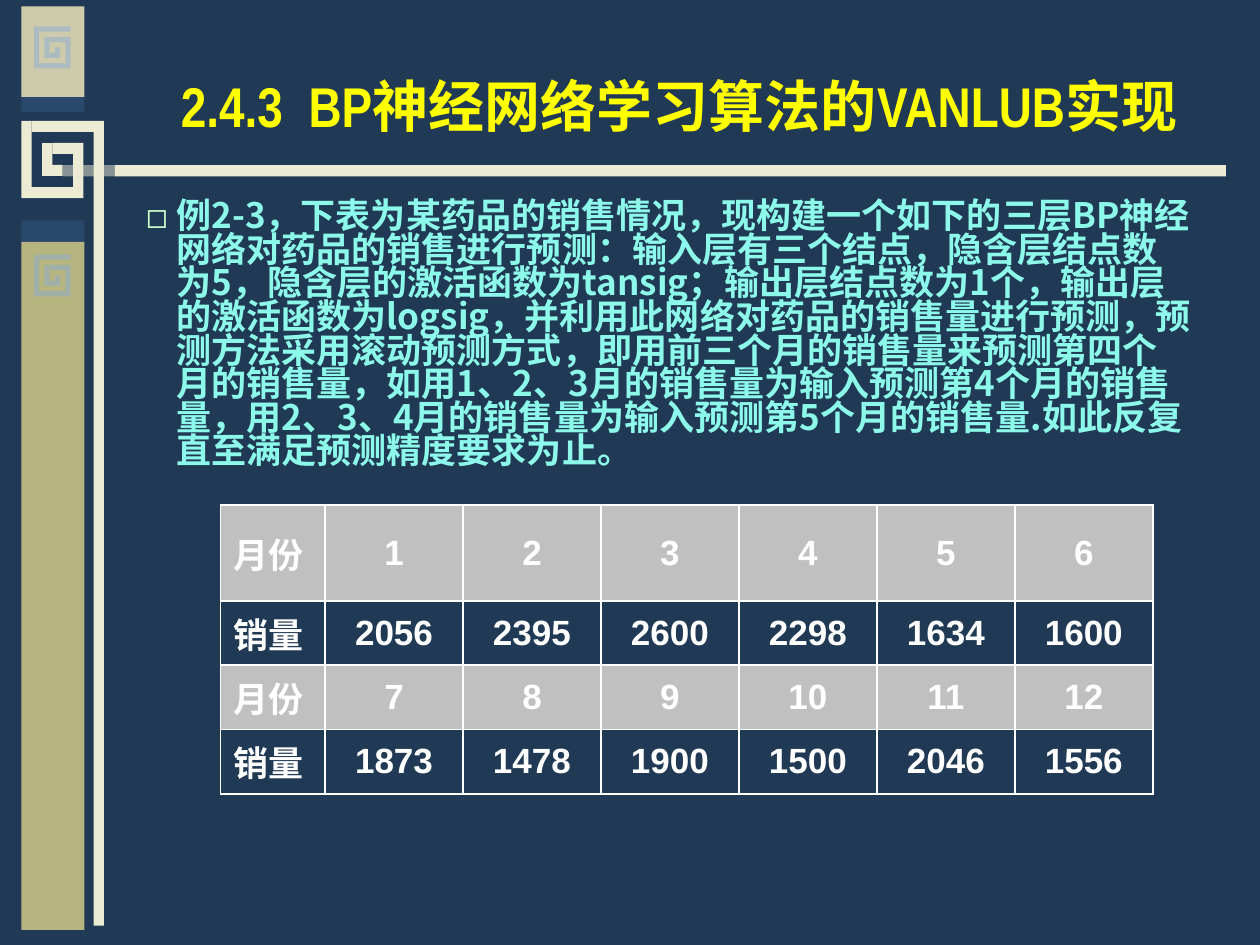
from lxml import etree
from pptx import Presentation, util as u
from pptx.dml.color import RGBColor
from pptx.enum import shapes, text
from pptx.oxml import ns

C = dict(bg="203954", navy="29486B", sand="CDCBAB", cream="ECEBD3", olive="B6B57F",
         sky="8BADD3", title="FFFF00", body="8DF9EA", bullet="CCFFCC",
         head="C0C0C0", white="FFFFFF")
CJK = "Noto Sans CJK SC"

# Spiral bars as column, row, width, height in grid units
BIG_KEY = [(2, 2, 1, 2), (2, 4, 2, 1), (3, 2, 3, 1), (0, 6, 5, 1), (0, 0, 1, 6),
           (1, 0, 7, 1), (7, 1, 1, 72), (5, 3, 1, 4)]
SMALL_KEY = [(2, 5, 2, 1), (4, 4, 1, 2), (2, 2, 1, 3), (3, 2, 4, 1), (6, 3, 1, 5),
             (0, 7, 6, 1), (0, 0, 1, 7), (1, 0, 6, 1)]

TITLE = "2.4.3  BP神经网络学习算法的VANLUB实现"
BODY = ("例2-3，下表为某药品的销售情况，现构建一个如下的三层BP神经网络对药品的销售进行预测："
        "输入层有三个结点，隐含层结点数为5，隐含层的激活函数为tansig；输出层结点数为1个，"
        "输出层的激活函数为logsig，并利用此网络对药品的销售量进行预测，预测方法采用滚动预测方式，"
        "即用前三个月的销售量来预测第四个月的销售量，如用1、2、3月的销售量为输入预测第4个月的销售量，"
        "用2、3、4月的销售量为输入预测第5个月的销售量.如此反复直至满足预测精度要求为止。")
SALES = [2056, 2395, 2600, 2298, 1634, 1600, 1873, 1478, 1900, 1500, 2046, 1556]


def rgb(name):
    return RGBColor.from_string(C[name])


def add(parent, tag, **attrs):
    return etree.SubElement(parent, ns.qn(tag), attrs)


def bar(s, box, color, alpha=None):
    sp = s.shapes.add_shape(shapes.MSO_SHAPE.RECTANGLE, *map(u.Inches, box))
    sp.shadow.inherit = False
    sp.line.fill.background()
    sp.fill.solid()
    sp.fill.fore_color.rgb = rgb(color)
    if alpha:
        clr = sp.fill._xPr.find(".//" + ns.qn("a:srgbClr"))
        add(clr, "a:alpha", val=str(alpha * 1000))


def key(s, x, y, unit_w, unit_h, parts, color, alpha=None):
    for col, row, w, h in parts:
        bar(s, (x + col * unit_w, y + row * unit_h, w * unit_w, h * unit_h), color, alpha)


def style(p, size, font, color):
    for r in p.runs:
        r.font.size, r.font.bold, r.font.name = u.Pt(size), True, font
        r.font.color.rgb = rgb(color)
        add(r._r.get_or_add_rPr(), "a:ea", typeface=CJK)


def decoration(s, x, y, w):
    """Left column, Greek keys and the rule under the title."""
    for dy, h, color in [(0.72, 0.12, "navy"), (0, 0.72, "sand"),
                         (1.7, 0.17, "navy"), (1.87, 5.46, "olive")]:
        bar(s, (x, y + dy, w, h), color)
    key(s, x, y + 0.91, 0.082, 0.0875, BIG_KEY, "cream")
    bar(s, (x + 0.33, y + 1.26, 0.41, 0.09), "cream", 50)
    bar(s, (x + 0.74, y + 1.26, 8.82, 0.09), "cream")
    for dy in (0.16, 1.97):
        key(s, x + 0.1, y + dy, 1 / 24, 1 / 24, SMALL_KEY, "sky", 50)


def fill_placeholder(sp, box, words, anchor):
    sp.left, sp.top, sp.width, sp.height = map(u.Inches, box)
    tf = sp.text_frame
    tf.text = words
    tf.word_wrap, tf.auto_size, tf.vertical_anchor = True, text.MSO_AUTO_SIZE.NONE, anchor
    return tf.paragraphs[0]


def title(s, box):
    p = fill_placeholder(s.shapes.title, box, TITLE, text.MSO_ANCHOR.BOTTOM)
    p.alignment = text.PP_ALIGN.CENTER
    style(p, 32, "Arial Narrow", "title")


def body(s, box):
    p = fill_placeholder(s.placeholders[1], box, BODY, text.MSO_ANCHOR.TOP)
    p.line_spacing, p.space_before = 0.8, u.Pt(5)
    style(p, 20, CJK, "body")
    pPr = p._p.get_or_add_pPr()
    pPr.set("marL", str(u.Inches(0.24)))
    pPr.set("indent", str(-u.Inches(0.24)))
    add(add(pPr, "a:buClr"), "a:srgbClr", val=C["bullet"])
    add(pPr, "a:buFont", typeface=CJK)
    add(pPr, "a:buChar", char="◻")


def cell_format(cell, shaded, centred):
    cell.vertical_anchor = text.MSO_ANCHOR.MIDDLE
    p = cell.text_frame.paragraphs[0]
    p.alignment = text.PP_ALIGN.CENTER if centred else text.PP_ALIGN.LEFT
    style(p, 20, "Arial", "white")
    tcPr = cell._tc.get_or_add_tcPr()
    for side in "LRTB":
        ln = add(tcPr, "a:ln" + side, w=str(u.Pt(1.08)))
        add(add(ln, "a:solidFill"), "a:srgbClr", val=C["white"])
    if shaded:
        cell.fill.solid()
        cell.fill.fore_color.rgb = rgb("head")
    else:
        cell.fill.background()


def sales_table(s, box):
    """Two half-years, each a row of months above a row of sales."""
    rows = []
    for start in (0, 6):
        rows += [["月份", *range(start + 1, start + 7)], ["销量", *SALES[start:start + 6]]]
    tbl = s.shapes.add_table(4, 7, *map(u.Inches, box)).table
    tbl.first_row = tbl.horz_banding = False
    for i, col in enumerate(tbl.columns):
        col.width = u.Inches(1.095 if i else 0.83)
    for i, row in enumerate(tbl.rows):
        row.height = u.Inches(0.51 if i else 0.76)
        for j, value in enumerate(rows[i]):
            cell = tbl.cell(i, j)
            cell.text = str(value)
            cell_format(cell, shaded=i % 2 == 0, centred=j > 0)


prs = Presentation()
prs.slide_width, prs.slide_height = u.Inches(10), u.Inches(7.5)
s = prs.slides.add_slide(prs.slide_layouts[1])
s.background.fill.solid()
s.background.fill.fore_color.rgb = rgb("bg")
decoration(s, 0.17, 0.05, 0.5)
title(s, (1.14, 0.21, 8.5, 0.94))
body(s, (1.06, 1.55, 8.5, 2.76))
sales_table(s, (1.75, 4.01, 7.4, 2.29))
prs.save("out.pptx")
